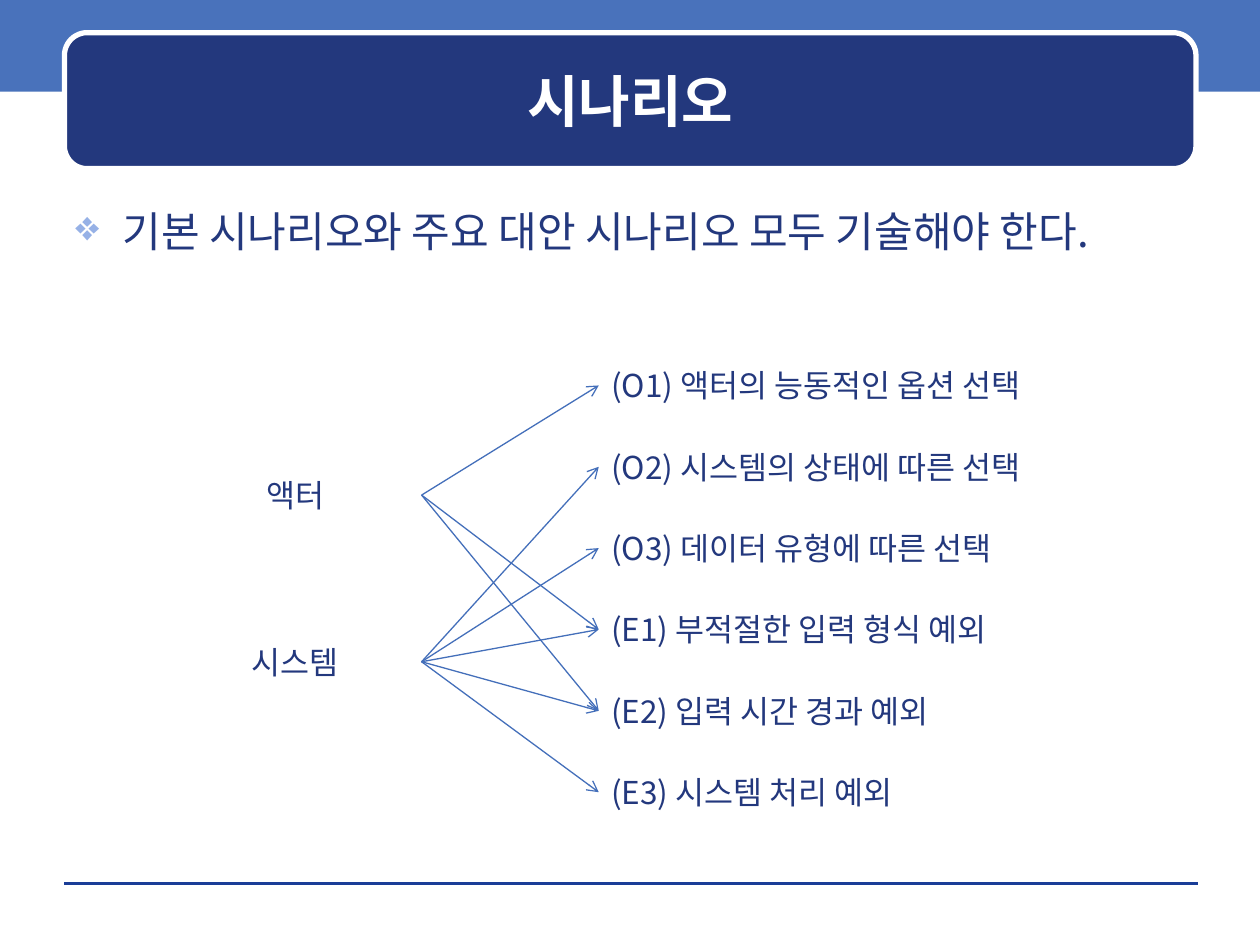
"""Build the scenario slide linking actor and system to options and exceptions."""
from lxml.etree import SubElement
from pptx import Presentation
from pptx.dml.color import RGBColor as Rgb
from pptx.enum.shapes import MSO_CONNECTOR as Link, MSO_SHAPE as Shape
from pptx.enum.text import MSO_ANCHOR as Anchor, PP_ALIGN as Align
from pptx.oxml.ns import qn
from pptx.util import Cm, Pt

TITLE = "시나리오"
MESSAGE = "기본 시나리오와 주요 대안 시나리오 모두 기술해야 한다."
OUTCOMES = {
    "O1": "액터의 능동적인 옵션 선택",
    "O2": "시스템의 상태에 따른 선택",
    "O3": "데이터 유형에 따른 선택",
    "E1": "부적절한 입력 형식 예외",
    "E2": "입력 시간 경과 예외",
    "E3": "시스템 처리 예외",
}
SOURCES = [
    ("액터", 9.47, ["O1", "E1", "E2"]),
    ("시스템", 12.83, ["O2", "O3", "E3", "E1", "E2"]),
]
THEME = {
    "font": "Noto Sans CJK KR",
    "band": Rgb.from_string("4972BB"),
    "navy": Rgb.from_string("23387D"),
    "white": Rgb.from_string("FFFFFF"),
    "rule": Rgb.from_string("1A3D97"),
    "arrow": Rgb.from_string("446FBA"),
    "bullet": "96B1E6",
    "title": Pt(32),
    "message": Pt(24),
    "label": Pt(18),
}
LABEL_HEIGHT = 1.02
OUTCOME_TOP, OUTCOME_PITCH = 7.26, 1.64


def style(paragraph, size, color, align=Align.LEFT, bold=False):
    paragraph.alignment = align
    font = paragraph.font
    font.name, font.size, font.bold = THEME["font"], THEME[size], bold
    font.color.rgb = THEME[color]
    defaults = paragraph._p.pPr.find(qn("a:defRPr"))
    SubElement(defaults, qn("a:ea"), typeface=THEME["font"])


def add_block(slide, kind, box, fill):
    block = slide.shapes.add_shape(kind, *map(Cm, box))
    block.shadow.inherit = False
    block.fill.solid()
    block.fill.fore_color.rgb = THEME[fill]
    block.line.fill.background()
    return block


def add_text(slide, text, box):
    label = slide.shapes.add_textbox(*map(Cm, box))
    label.text_frame.word_wrap = True
    label.text_frame.text = text
    return label


def add_label(slide, text, left, top, width, align=Align.LEFT):
    label = add_text(slide, text, (left, top, width, LABEL_HEIGHT))
    style(label.text_frame.paragraphs[0], "label", "navy", align)
    return label


def add_line(slide, color, width, ends=(0, 0, 0, 0)):
    line = slide.shapes.add_connector(Link.STRAIGHT, *map(Cm, ends))
    line.line.color.rgb = THEME[color]
    line.line.width = Pt(width)
    SubElement(line._element.spPr, qn("a:effectLst"))
    return line


def add_arrow(slide, source, outcome):
    arrow = add_line(slide, "arrow", 0.75)
    arrow.begin_connect(source, 3)
    arrow.end_connect(outcome, 1)
    SubElement(arrow.line._get_or_add_ln(), qn("a:tailEnd"), type="arrow")


def add_header(slide):
    add_block(slide, Shape.RECTANGLE, (0, -0.08, 25.4, 1.93), "band")
    add_line(slide, "rule", 0, (1.3, 17.81, 24.16, 17.81))
    banner = add_block(slide, Shape.ROUNDED_RECTANGLE, (1.3, 0.66, 22.81, 2.74), "navy")
    banner.line.color.rgb = THEME["white"]
    banner.line.width = Pt(3)

    title = slide.shapes.title
    title.left, title.top, title.width, title.height = map(Cm, (1.52, 0.89, 22.38, 2.24))
    title.text_frame.text = TITLE
    title.text_frame.vertical_anchor = Anchor.MIDDLE
    style(title.text_frame.paragraphs[0], "title", "white", Align.CENTER, True)
    banner._element.addnext(title._element)


def add_message(slide):
    message = add_text(slide, MESSAGE, (1.27, 4.01, 22.86, 13.54))
    paragraph = message.text_frame.paragraphs[0]
    props = paragraph._p.get_or_add_pPr()
    props.set("marL", str(Cm(0.95)))
    props.set("indent", str(Cm(-0.95)))
    bullet_color = SubElement(props, qn("a:buClr"))
    SubElement(bullet_color, qn("a:srgbClr"), val=THEME["bullet"])
    SubElement(props, qn("a:buChar"), char="❖")
    style(paragraph, "message", "navy")


def add_scenarios(slide):
    outcomes = {
        code: add_label(slide, f"({code}) {text}", 12.07, OUTCOME_TOP + row * OUTCOME_PITCH, 9.93)
        for row, (code, text) in enumerate(OUTCOMES.items())
    }
    for name, top, codes in SOURCES:
        source = add_label(slide, name, 3.4, top, 5.1, Align.CENTER)
        for code in codes:
            add_arrow(slide, source, outcomes[code])


def main():
    deck = Presentation()
    deck.slide_width, deck.slide_height = Cm(25.4), Cm(19.05)
    slide = deck.slides.add_slide(deck.slide_layouts[5])
    add_header(slide)
    add_message(slide)
    add_scenarios(slide)
    deck.save("out.pptx")


if __name__ == "__main__":
    main()
